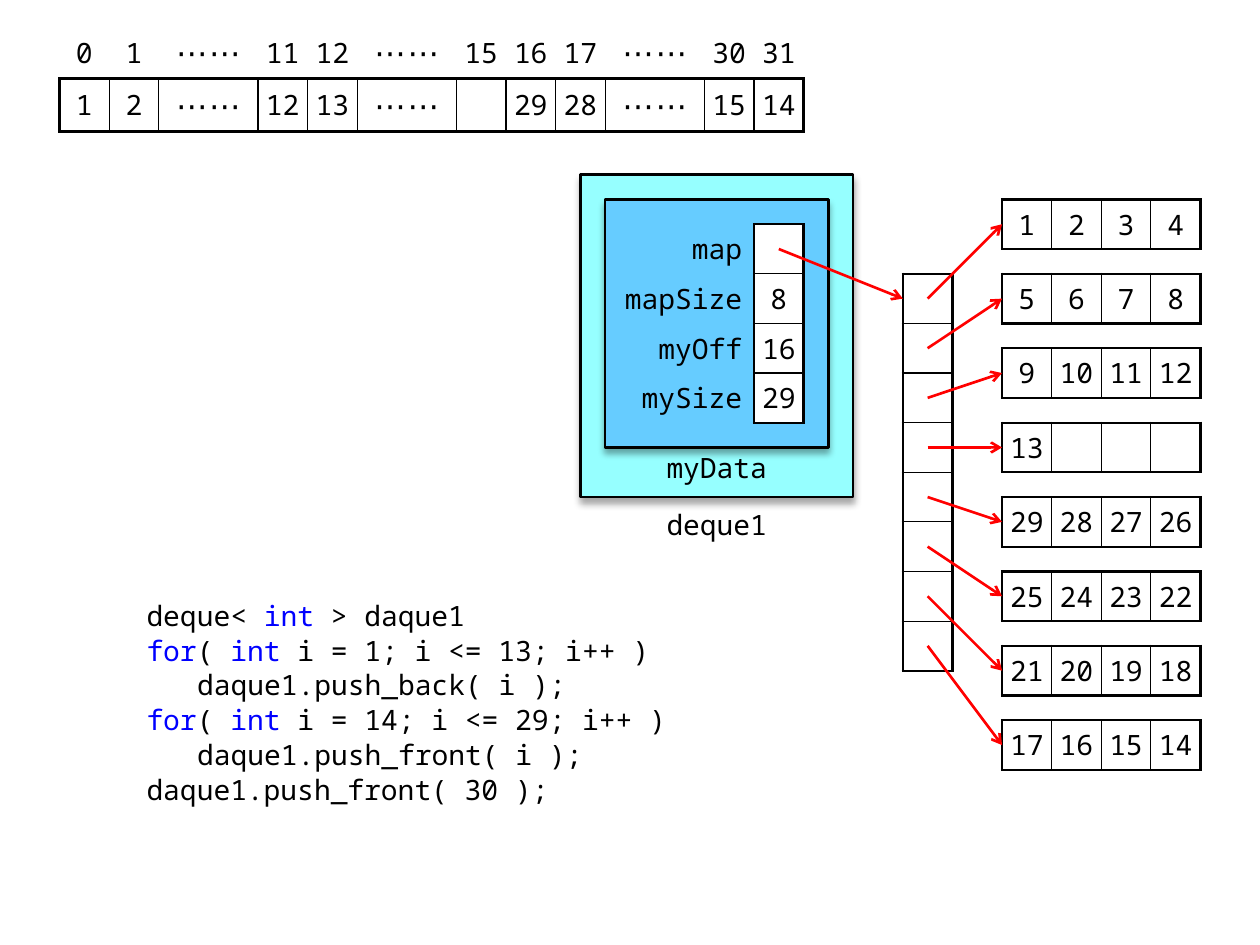
from pptx import Presentation
from pptx import util as u
from pptx.dml.color import RGBColor
from pptx.enum import shapes, text
from pptx.oxml import parse_xml
from pptx.oxml.ns import nsdecls, qn

PX = 7200  # EMU: 127 px to the inch, so a 1 cm cell is 50 px
CELL = 50
MARGIN = 5
FONT = "Noto Sans Mono"
ELLIPSIS = "⋯⋯"
PLAIN_TABLE = "{2D5ABB26-0587-4C30-8999-92F81FD0307C}"
COLORS = {
    "ink": "000000",
    "keyword": "0000FF",
    "arrow": "FF0000",
    "cell": "FFFFFF",
    "deque": "96FFFF",
    "data": "66CCFF",
}
KEYWORDS = {"int", "for"}
# Each line of code: indent in px, then its pieces
CODE = [
    (0, ["deque< ", "int", " > daque1"]),
    (0, ["for", "( ", "int", " i = 1; i <= 13; i++ )"]),
    (51, ["daque1.push_back( i );"]),
    (0, ["for", "( ", "int", " i = 14; i <= 29; i++ )"]),
    (51, ["daque1.push_front( i );"]),
    (0, ["daque1.push_front( 30 );"]),
]
INDEXES = ["0", "1", ELLIPSIS, "11", "12", ELLIPSIS, "15", "16", "17",
           ELLIPSIS, "30", "31"]
VALUES = ["1", "2", ELLIPSIS, "12", "13", ELLIPSIS, "", "29", "28",
          ELLIPSIS, "15", "14"]
MEMBERS = [["map", ""], ["mapSize", "8"], ["myOff", "16"], ["mySize", "29"]]
BLOCK_SIZE = 4
BLOCK_COUNT = 8


def px(*lengths):
    return [u.Emu(length * PX) for length in lengths]


def rgb(name):
    return RGBColor.from_string(COLORS[name])


def style_run(run, color="ink", size=16):
    run.font.name = FONT
    run.font.size = u.Pt(size)
    run.font.color.rgb = rgb(color)


def set_margins(box, left, top, right, bottom):
    (box.margin_left, box.margin_top,
     box.margin_right, box.margin_bottom) = px(left, top, right, bottom)


def border_widths(row, col, first, last):
    """Heavy lines around the frame from first to last, light ones inside."""
    if row < first[0]:
        return {"B": 1.5}
    if col < first[1]:
        return {"R": 1.5}
    heavy = {"L": col == first[1], "R": col == last[1],
             "T": row == first[0], "B": row == last[0]}
    return {side: 1.5 if edge else 0.75 for side, edge in heavy.items()}


def set_borders(cell, widths):
    properties = cell._tc.get_or_add_tcPr()
    for side, points in widths.items():
        properties.append(parse_xml(
            f'<a:ln{side} {nsdecls("a")} w="{u.Pt(points)}">'
            f'<a:solidFill><a:srgbClr val="{COLORS["ink"]}"/></a:solidFill>'
            f'</a:ln{side}>'))


def fill_cell_text(cell, content, align):
    paragraph = cell.text_frame.paragraphs[0]
    paragraph.alignment = align
    if content == ELLIPSIS:
        for dots in content:
            run = paragraph.add_run()
            run.text = dots
            style_run(run, size=18)
        paragraph.runs[0].font._element.set("spc", "100")
    elif content:
        paragraph.text = content
        style_run(paragraph.runs[0])


def add_cells(slide, left, top, rows, widths, first=(0, 0), side_margin=MARGIN):
    """Table whose framed cells start at first; those before it are labels."""
    frame = slide.shapes.add_table(
        len(rows), len(widths),
        *px(left, top, sum(widths), CELL * len(rows)))
    table = frame.table
    table.first_row = table.horz_banding = False
    next(frame._element.iter(qn("a:tableStyleId"))).text = PLAIN_TABLE
    for column, width in zip(table.columns, px(*widths)):
        column.width = width
    last = len(rows) - 1, len(widths) - 1
    for r, row in enumerate(rows):
        table.rows[r].height = px(CELL)[0]
        for c, content in enumerate(row):
            cell = table.cell(r, c)
            row_label = c < first[1]
            side = 12 if row_label else side_margin
            set_margins(cell, side, MARGIN, side, MARGIN)
            cell.vertical_anchor = text.MSO_ANCHOR.MIDDLE
            fill_cell_text(cell, content, text.PP_ALIGN.RIGHT if row_label
                           else text.PP_ALIGN.CENTER)
            set_borders(cell, border_widths(r, c, first, last))
            if row_label or r < first[0]:
                cell.fill.background()
            else:
                cell.fill.solid()
                cell.fill.fore_color.rgb = rgb("cell")


def add_container(slide, bounds, color):
    container = slide.shapes.add_shape(
        shapes.MSO_SHAPE.FLOWCHART_PROCESS, *px(*bounds))
    container.fill.solid()
    container.fill.fore_color.rgb = rgb(color)
    container.line.color.rgb = rgb("ink")
    container.line.width = u.Pt(1.5)
    container.shadow.inherit = False
    container._element.spPr.find(qn("a:effectLst")).append(parse_xml(
        f'<a:outerShdw {nsdecls("a")} blurRad="{u.Pt(4)}" dist="{u.Pt(3)}" '
        f'dir="5400000" rotWithShape="0"><a:srgbClr val="{COLORS["ink"]}">'
        '<a:alpha val="35000"/></a:srgbClr></a:outerShdw>'))


def add_caption(slide, bounds, words, top_margin, anchor):
    frame = slide.shapes.add_textbox(*px(*bounds)).text_frame
    frame.word_wrap = True
    frame.vertical_anchor = anchor
    set_margins(frame, 10, top_margin, 10, 0)
    frame.text = words
    frame.paragraphs[0].alignment = text.PP_ALIGN.CENTER
    style_run(frame.paragraphs[0].runs[0])


def add_arrow(slide, start, end):
    arrow = slide.shapes.add_connector(
        shapes.MSO_CONNECTOR.STRAIGHT, *px(*start, *end))
    arrow.line.color.rgb = rgb("arrow")
    arrow.line.width = u.Pt(1.5)
    arrow.line._get_or_add_ln().append(
        parse_xml(f'<a:tailEnd {nsdecls("a")} type="arrow"/>'))
    arrow._element.spPr.append(parse_xml(f'<a:effectLst {nsdecls("a")}/>'))


def write_code(body):
    body.left, body.top, body.width, body.height = px(135, 601, 550, 300)
    frame = body.text_frame
    frame.auto_size = text.MSO_AUTO_SIZE.NONE
    frame.text = "\n".join("" for _ in CODE)
    for paragraph, (indent, pieces) in zip(frame.paragraphs, CODE):
        paragraph.space_before = u.Pt(3)
        paragraph.line_spacing = 0.88
        properties = paragraph._p.get_or_add_pPr()
        properties.set("marL", str(indent * PX))
        properties.set("indent", "0")
        properties.append(parse_xml(f'<a:buNone {nsdecls("a")}/>'))
        for piece in pieces:
            run = paragraph.add_run()
            run.text = piece
            style_run(run, "keyword" if piece in KEYWORDS else "ink")


def block_values(block):
    """Contents of a block after 13 pushes to the back and 16 to the front."""
    slots = range(block * BLOCK_SIZE, (block + 1) * BLOCK_SIZE)
    return [str(slot + 1) if slot < 13 else "" if slot < 16
            else str(45 - slot) for slot in slots]


def main():
    deck = Presentation()
    deck.slide_width, deck.slide_height = px(1270, 952.5)
    slide = deck.slides.add_slide(deck.slide_layouts[1])
    title = slide.shapes.title._element
    title.getparent().remove(title)
    write_code(slide.placeholders[1])

    widths = [2 * CELL if index == ELLIPSIS else CELL for index in INDEXES]
    add_cells(slide, 60, 26, [INDEXES, VALUES], widths, first=(1, 0))

    add_container(slide, (585, 176, 275, 325), "deque")
    add_container(slide, (610, 201, 225, 250), "data")
    add_caption(slide, (635, 501, 175, 50), "deque1", 5, text.MSO_ANCHOR.MIDDLE)
    add_caption(slide, (660, 451, 125, 50), "myData", 3, text.MSO_ANCHOR.TOP)
    add_cells(slide, 610, 226, MEMBERS, [3 * CELL, CELL], (0, 1), side_margin=0)

    add_cells(slide, 910, 276, [[""]] * BLOCK_COUNT, [CELL])
    for block in range(BLOCK_COUNT):
        block_top = 201 + 75 * block
        add_cells(slide, 1010, block_top, [block_values(block)],
                  [CELL] * BLOCK_SIZE)
        add_arrow(slide, (935, 301 + CELL * block), (1010, block_top + 25))
    add_arrow(slide, (785, 251), (910, 301))
    deck.save("out.pptx")


if __name__ == "__main__":
    main()
